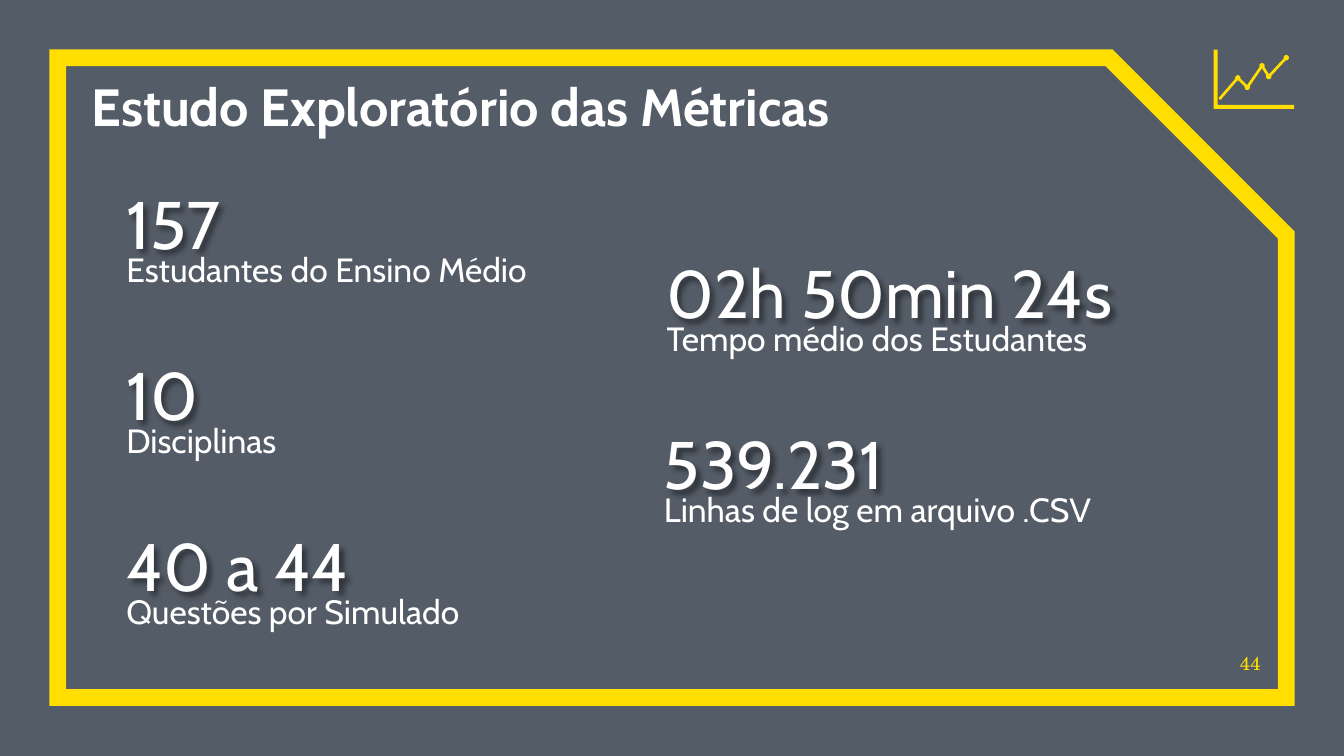
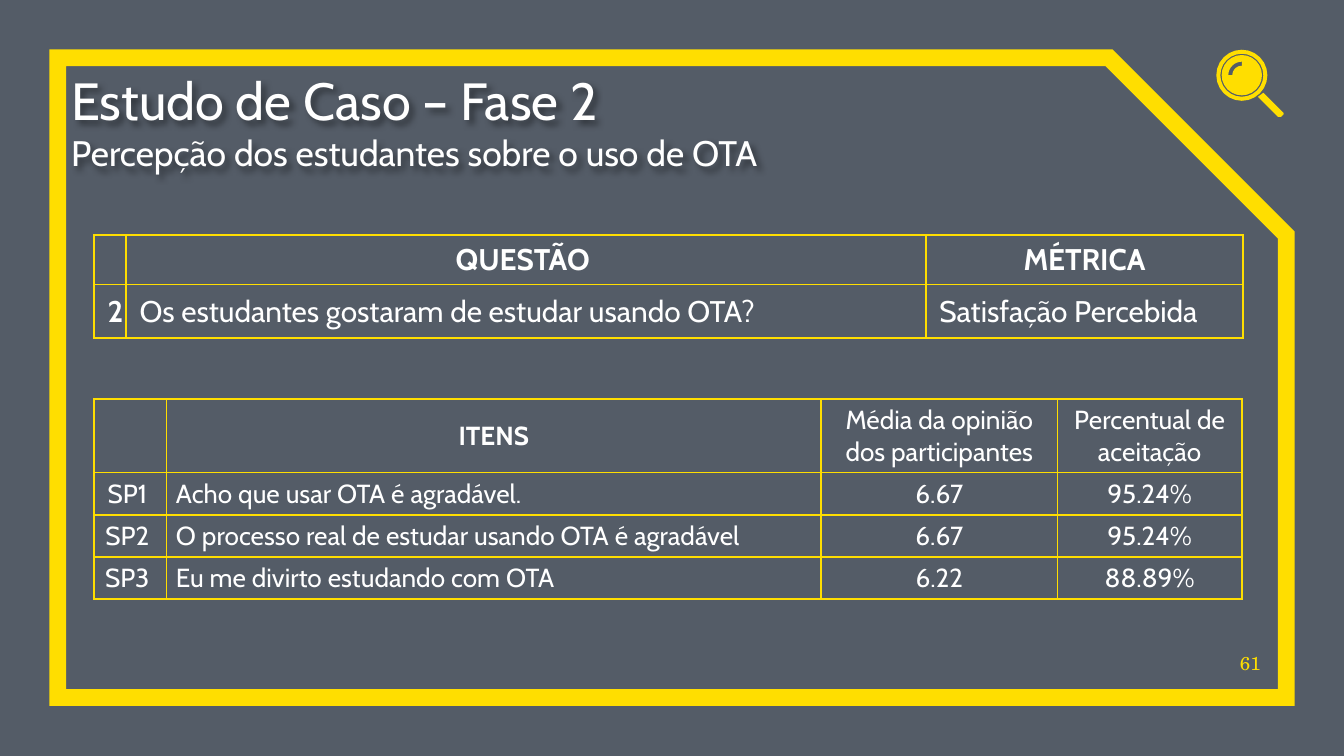
from dataclasses import dataclass
from math import asin, atan2, cos, degrees, radians, sin

from lxml import etree
from pptx import Presentation
from pptx.dml.color import RGBColor
from pptx.enum.shapes import MSO_SHAPE as Preset
from pptx.enum.text import MSO_ANCHOR as Anchor, PP_ALIGN as Align
from pptx.oxml import parse_xml
from pptx.oxml.ns import nsdecls, qn
from pptx.util import Inches, Pt


@dataclass(frozen=True)
class Theme:
    backdrop: str = "FFFFFF"
    veil: str = "040F20"
    veil_alpha: int = 68
    yellow: str = "FFDE00"
    white: str = "FFFFFF"
    font: str = "Cabin"
    number_font: str = "TeX Gyre Schola"
    title: float = 28
    subtitle: float = 19
    figure: float = 36
    label: float = 18
    question: float = 16
    item: float = 14
    number: float = 10
    frame: float = 9


THEME = Theme()


# Formatting helpers
def apply(target, values):
    for name, value in values.items():
        setattr(target, name, value)


def rgb(color):
    return RGBColor.from_string(color)


def add_shadow(shape):
    shape._element.spPr.append(parse_xml(
        f'<a:effectLst {nsdecls("a")}><a:outerShdw blurRad="38100" dist="38100" '
        'dir="2700000" algn="tl"><a:srgbClr val="000000"><a:alpha val="43000"/>'
        '</a:srgbClr></a:outerShdw></a:effectLst>'))


def write_lines(frame, lines, align=Align.LEFT, spacing=1.0,
                color=THEME.white, font=THEME.font):
    """Write one paragraph for each (text, size, bold) line."""
    for index, (text, size, bold) in enumerate(lines):
        paragraph = frame.add_paragraph() if index else frame.paragraphs[0]
        apply(paragraph, {"alignment": align, "line_spacing": spacing})
        if not text:
            end = etree.SubElement(paragraph._p, qn("a:endParaRPr"))
            end.set("sz", str(int(size * 100)))
            continue
        run = paragraph.add_run()
        run.text = text
        apply(run.font, {"name": font, "size": Pt(size), "bold": bold})
        run.font.color.rgb = rgb(color)


def add_text(slide, box, lines, anchor=Anchor.TOP, shadow=False, **style):
    shape = slide.shapes.add_textbox(*map(Inches, box))
    apply(shape.text_frame, {"word_wrap": True, "vertical_anchor": anchor,
                             "margin_left": 0, "margin_right": 0,
                             "margin_top": 0, "margin_bottom": 0})
    write_lines(shape.text_frame, lines, **style)
    if shadow:
        add_shadow(shape)


# Shapes
def paint(shape, fill=None, line=None, width=1):
    shape.shadow.inherit = False
    for part, color in ((shape.fill, fill), (shape.line.fill, line)):
        if color:
            part.solid()
            part.fore_color.rgb = rgb(color)
        else:
            part.background()
    if line:
        shape.line.width = Pt(width)
    return shape


def add_preset(shapes, preset, box, **look):
    return paint(shapes.add_shape(preset, *map(Inches, box)), **look)


def add_outline(shapes, *contours):
    """Fill closed contours; an inner contour is a hole."""
    scaled = [[(Inches(x), Inches(y)) for x, y in contour] for contour in contours]
    builder = shapes.build_freeform(*scaled[0][0])
    for index, (start, *others) in enumerate(scaled):
        if index:
            builder.move_to(*start)
        builder.add_line_segments(others, close=True)
    paint(builder.convert_to_shape(), fill=THEME.yellow)


def arc(center, radius, start, stop, steps=24):
    angles = [radians(start + (stop - start) * i / steps) for i in range(steps + 1)]
    return [(center[0] + radius * cos(a), center[1] + radius * sin(a)) for a in angles]


def direction(origin, target):
    return degrees(atan2(target[1] - origin[1], target[0] - origin[0]))


def dotted_line(points, half_width, radius):
    """Outline of a line with round dots on every point after the first."""
    route = points + points[-2:0:-1]
    contour = []
    for index, point in enumerate(route):
        size = radius if index else half_width * 1.2
        gap = degrees(asin(half_width / size))
        start = direction(point, route[index - 1]) + gap
        stop = direction(point, route[(index + 1) % len(route)]) - gap
        contour += arc(point, size, start, start + (stop - start) % 360, 10)
    return contour


# Icons beside the snipped corner
def draw_chart_icon(slide):
    icon = slide.shapes.add_group_shape().shapes
    add_outline(icon, [(9.03, 0.37), (9.06, 0.37), (9.06, 0.78),
                       (9.63, 0.78), (9.63, 0.81), (9.03, 0.81)])
    trend = [(9.08, 0.73), (9.21, 0.58), (9.28, 0.65),
             (9.39, 0.49), (9.44, 0.57), (9.57, 0.43)]
    add_outline(icon, dotted_line(trend, 0.01, 0.02))


def draw_magnifier_icon(slide):
    icon = slide.shapes.add_group_shape().shapes
    center = (9.24, 0.56)
    add_outline(icon, arc(center, 0.19, 0, 360), arc(center, 0.16, 0, 360))
    gleam = arc(center, 0.1, 180, 270) + arc(center, 0.07, 270, 180)
    add_outline(icon, arc(center, 0.15, 0, 360), gleam)
    add_outline(icon, [(9.4, 0.69), (9.36, 0.72), (9.51, 0.87),
                       (9.53, 0.87), (9.55, 0.85), (9.55, 0.84)])


# Shared layout: veil and snipped frame
def dress_layout(layout, slide):
    """Draw the shared shapes on a slide and hand them over to its layout."""
    for placeholder in list(layout.placeholders):
        layout.shapes.element.remove(placeholder.element)
    layout.background.fill.solid()
    layout.background.fill.fore_color.rgb = rgb(THEME.backdrop)

    veil = add_preset(slide.shapes, Preset.RECTANGLE, (0, 0, 10, 5.63), fill=THEME.veil)
    veil.height = Inches(10) * 9 // 16
    color = veil._element.spPr.find(qn("a:solidFill"))[0]
    etree.SubElement(color, qn("a:alpha")).set("val", str(THEME.veil_alpha * 1000))

    frame = add_preset(slide.shapes, Preset.SNIP_1_RECTANGLE, (0.43, 0.43, 9.14, 4.76),
                       line=THEME.yellow, width=THEME.frame)
    frame.adjustments[0] = 0.277
    outline = frame._element.spPr.find(qn("a:ln"))
    etree.SubElement(outline, qn("a:miter")).set("lim", "800000")

    for shape in (veil, frame):
        layout.shapes.element.append(shape.element)


def add_numbered_slide(presentation, number):
    layout = presentation.slide_layouts[6]
    slide = presentation.slides.add_slide(layout)
    if len(presentation.slides) == 1:
        dress_layout(layout, slide)
    add_text(slide, (9.11, 4.74, 0.27, 0.28), [(number, THEME.number, False)],
             anchor=Anchor.BOTTOM, align=Align.RIGHT,
             color=THEME.yellow, font=THEME.number_font)
    return slide


def add_metric(slide, left, top, widths, figure, label):
    add_text(slide, (left, top, widths[0], 0.98), [(figure, THEME.figure, False)],
             anchor=Anchor.BOTTOM, shadow=True)
    add_text(slide, (left, top + 0.83, widths[1], 0.51), [(label, THEME.label, False)],
             spacing=1.15)


# Tables
def add_borders(cell):
    properties = cell._tc.get_or_add_tcPr()
    for side in ("lnL", "lnR", "lnT", "lnB"):
        properties.append(parse_xml(
            f'<a:{side} {nsdecls("a")} w="{Pt(1)}"><a:solidFill>'
            f'<a:srgbClr val="{THEME.yellow}"/></a:solidFill></a:{side}>'))


def add_grid(slide, box, columns, heights, rows, size, margins, is_bold, is_left):
    """Add a bordered table; is_bold and is_left take a row and a column."""
    holder = slide.shapes.add_table(len(rows), len(columns), *map(Inches, box))
    table = holder.table
    apply(table, {"first_row": False, "horz_banding": False})
    for column, width in zip(table.columns, columns):
        column.width = Inches(width)
    for row, height in zip(table.rows, heights):
        row.height = Inches(height)
    apply(holder, {"width": Inches(box[2]), "height": Inches(box[3])})
    side, edge = map(Inches, margins)
    for r, texts in enumerate(rows):
        for c, text in enumerate(texts):
            cell = table.cell(r, c)
            apply(cell, {"vertical_anchor": Anchor.MIDDLE,
                         "margin_left": side, "margin_right": side,
                         "margin_top": edge, "margin_bottom": edge})
            add_borders(cell)
            cell.fill.background()
            write_lines(cell.text_frame,
                        [(line, size, is_bold(r, c)) for line in text.split("\n")],
                        align=Align.LEFT if is_left(r, c) else Align.CENTER)


# Slides
def build_metrics_slide(presentation):
    slide = add_numbered_slide(presentation, "44")
    draw_chart_icon(slide)
    add_text(slide, (0.68, 0.48, 6.65, 0.64),
             [("Estudo Exploratório das Métricas", THEME.title, True)], spacing=1.15)
    metrics = [
        (0.94, 0.98, (3.32, 3.32), "157", "Estudantes do Ensino Médio"),
        (0.94, 2.25, (3.36, 3.36), "10", "Disciplinas"),
        (0.94, 3.52, (3.32, 3.32), "40 a 44", "Questões por Simulado"),
        (4.96, 1.49, (3.67, 3.32), "02h 50min 24s", "Tempo médio dos Estudantes"),
        (4.94, 2.76, (3.67, 3.79), "539.231", "Linhas de log em arquivo .CSV"),
    ]
    for metric in metrics:
        add_metric(slide, *metric)


def build_perception_slide(presentation):
    slide = add_numbered_slide(presentation, "61")
    draw_magnifier_icon(slide)
    add_text(slide, (0.53, 0.54, 8.41, 0.75),
             [("Estudo de Caso – Fase 2", THEME.title, False),
              ("Percepção dos estudantes sobre o uso de OTA", THEME.subtitle, False)],
             anchor=Anchor.BOTTOM, shadow=True)
    add_grid(slide, (0.7, 1.75, 8.54, 0.76), [0.23, 5.95, 2.36], [0.28, 0.4],
             [["", "QUESTÃO ", "MÉTRICA"],
              ["2", "Os estudantes gostaram de estudar usando OTA?",
               "Satisfação Percebida"]],
             THEME.question, (0.1, 0.05),
             is_bold=lambda r, c: r == 0 or c == 0,
             is_left=lambda r, c: r > 0 and c > 0)
    add_grid(slide, (0.7, 2.97, 8.54, 1.46), [0.54, 4.87, 1.76, 1.37],
             [0.32, 0.2, 0.25, 0.25],
             [["", "ITENS", "Média da opinião\ndos participantes",
               "Percentual de\naceitação"],
              ["SP1 ", "Acho que usar OTA é agradável.", "6.67", "95.24%"],
              ["SP2 ", "O processo real de estudar usando OTA é agradável",
               "6.67", "95.24%"],
              ["SP3 ", "Eu me divirto estudando com OTA", "6.22", "88.89%"]],
             THEME.item, (0.07, 0.04),
             is_bold=lambda r, c: (r, c) == (0, 1),
             is_left=lambda r, c: r > 0 and c == 1)


def main():
    presentation = Presentation()
    width = Inches(10)
    apply(presentation, {"slide_width": width, "slide_height": width * 9 // 16})
    build_metrics_slide(presentation)
    build_perception_slide(presentation)
    presentation.save("out.pptx")


if __name__ == "__main__":
    main()
